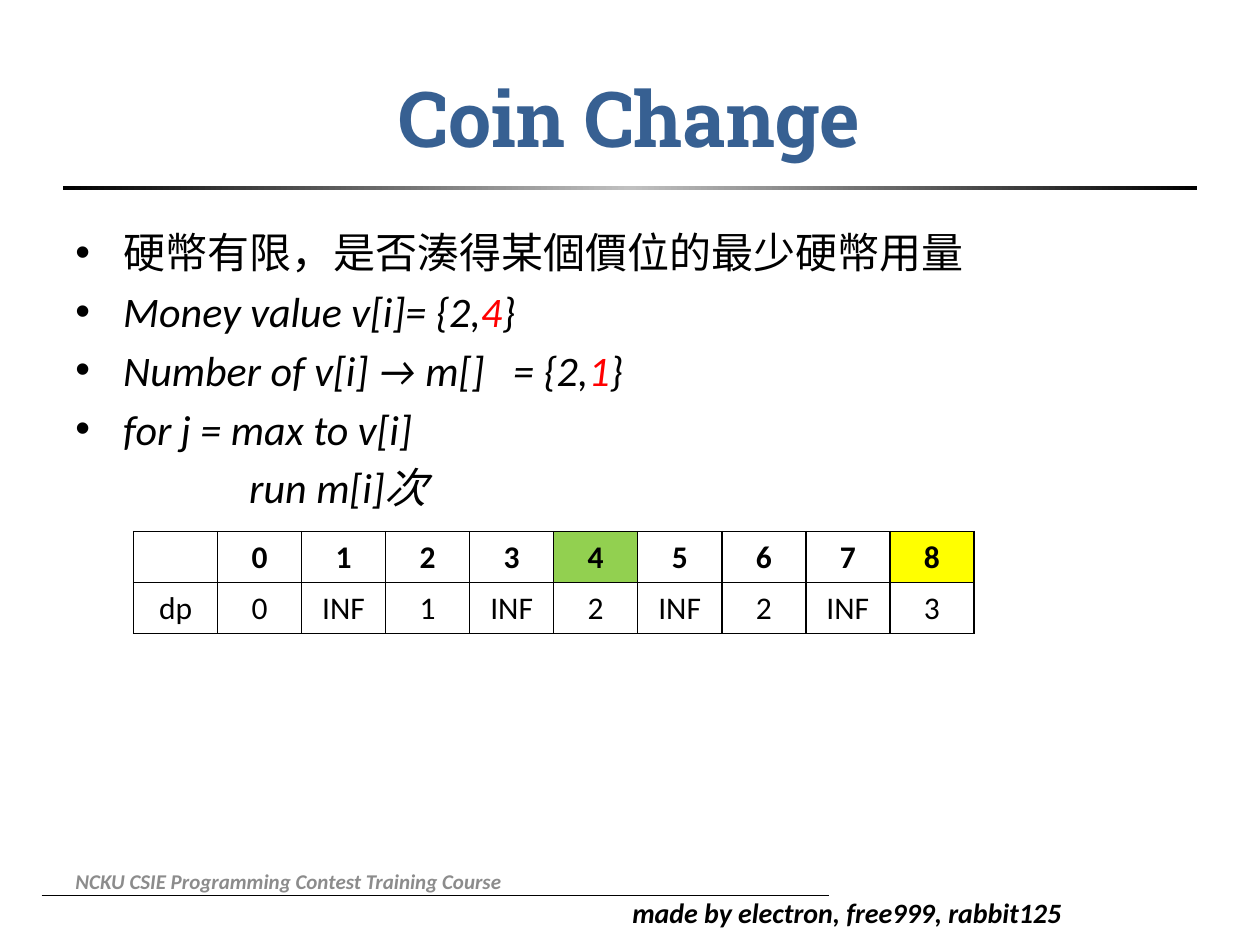
from lxml import etree
from pptx import Presentation
from pptx import util as u
from pptx.dml.color import RGBColor
from pptx.enum import shapes, text
from pptx.oxml.ns import qn

COLORS = {"ink": "000000", "title": "376092", "accent": "FF0000", "footer": "8C8C8C",
          "silver": "C0C0C0", "paper": "FFFFFF", "used": "92D050", "target": "FFFF00"}
BODY_FONT, TITLE_FONT = "Calibri", "Roboto Slab"


def color(name):
    return RGBColor.from_string(COLORS[name])


def style(font, size, name="ink", face=BODY_FONT, bold=False, italic=False):
    font.size, font.name, font.bold, font.italic = u.Pt(size), face, bold, italic
    font.color.rgb = color(name)


def add_box(page, left, top, width, height, anchor=text.MSO_ANCHOR.TOP):
    box = page.shapes.add_textbox(*map(u.Inches, (left, top, width, height)))
    box.text_frame.word_wrap = True
    box.text_frame.vertical_anchor = anchor
    return box


def add_label(page, place, words, size, name="ink", anchor=text.MSO_ANCHOR.TOP):
    box = add_box(page, *place, anchor)
    box.text_frame.text = words
    style(box.text_frame.paragraphs[0].runs[0].font, size, name, bold=True, italic=True)


def add_title(page, left, top, width, height):
    box = add_box(page, left, top, width, height, text.MSO_ANCHOR.MIDDLE)
    box.text_frame.text = "Coin Change"
    para = box.text_frame.paragraphs[0]
    para.alignment = text.PP_ALIGN.CENTER
    style(para.runs[0].font, 44, "title", TITLE_FONT, bold=True)


def add_title_rule(page, left, top, width, height):
    rule = page.shapes.add_shape(shapes.MSO_SHAPE.RECTANGLE,
                                 *map(u.Inches, (left, top, width, height)))
    rule.shadow.inherit = False
    rule.line.fill.background()
    rule.fill.gradient()
    rule.fill.gradient_angle = 0
    # Three stops: dark ends, silver middle
    stops = rule.fill._fill._gradFill.find(qn("a:gsLst"))
    for stop in list(stops):
        stops.remove(stop)
    for percent, name in ((0, "ink"), (50, "silver"), (100, "ink")):
        stop = etree.SubElement(stops, qn("a:gs"), pos=str(percent * 1000))
        etree.SubElement(stop, qn("a:srgbClr"), val=COLORS[name])


def add_body(page, left, top, width, height):
    # Each line: bulleted, italic, spans of (words, colour, letter spacing in points)
    lines = [
        (True, False, [("硬幣有限，是否湊得某個價位的最少硬幣用量", "ink", 0)]),
        (True, True, [("Money value v[i]= {2,", "ink", 0), ("4", "accent", 0), ("}", "ink", 0)]),
        (True, True, [("Number of v[i] → m[]", "ink", 0), (" ", "ink", 10.85),
                      ("= {2,", "ink", 0), ("1", "accent", 0), ("}", "ink", 0)]),
        (True, True, [("for j = max to v[i]", "ink", 0)]),
        (False, True, [("run m[i]次", "ink", 0)]),
    ]
    frame = add_box(page, left, top, width, height).text_frame
    for index, (bulleted, italic, spans) in enumerate(lines):
        para = frame.paragraphs[0] if index == 0 else frame.add_paragraph()
        props = para._p.get_or_add_pPr()
        props.set("marL", str(u.Inches(0.38 if bulleted else 1.38)))
        props.set("indent", str(u.Inches(-0.38 if bulleted else 0)))
        if bulleted:
            etree.SubElement(props, qn("a:buFont"), typeface="Arial")
            etree.SubElement(props, qn("a:buChar"), char="•")
        if index:
            para.space_before = u.Pt(4.8)
        for words, name, spacing in spans:
            span = para.add_run()
            span.text = words
            style(span.font, 24, name, italic=italic)
            if spacing:
                span._r.get_or_add_rPr().set("spc", str(round(spacing * 100)))


def add_borders(cell):
    props = cell._tc.get_or_add_tcPr()
    for index, side in enumerate(("lnL", "lnR", "lnT", "lnB")):
        line = etree.Element(qn("a:" + side), w=str(u.Pt(1)))
        fill = etree.SubElement(line, qn("a:solidFill"))
        etree.SubElement(fill, qn("a:srgbClr"), val=COLORS["ink"])
        props.insert(index, line)


def add_dp_table(page, left, top, width, height):
    rows = [["", *map(str, range(9))],
            ["dp", "0", "INF", "1", "INF", "2", "INF", "2", "INF", "3"]]
    marked = {(0, 5): "used", (0, 9): "target"}
    table = page.shapes.add_table(len(rows), len(rows[0]),
                                  *map(u.Inches, (left, top, width, height))).table
    for column in table.columns:
        column.width = u.Inches(width / len(rows[0]))
    for r, values in enumerate(rows):
        table.rows[r].height = u.Inches(height / len(rows))
        for c, value in enumerate(values):
            cell = table.cell(r, c)
            cell.text = value
            cell.fill.solid()
            cell.fill.fore_color.rgb = color(marked.get((r, c), "paper"))
            para = cell.text_frame.paragraphs[0]
            para.alignment = text.PP_ALIGN.CENTER
            style(para.font, 18, bold=r == 0)
            for span in para.runs:
                style(span.font, 18, bold=r == 0)
            add_borders(cell)


def add_footer(page, left, top, width):
    line = page.shapes.add_connector(
        shapes.MSO_CONNECTOR.STRAIGHT,
        *map(u.Inches, (left, top, left + width, top)))
    line.line.color.rgb = color("ink")
    line.line.width = u.Pt(0.5)
    etree.SubElement(line._element.spPr, qn("a:effectLst"))
    add_label(page, (left + 0.17, top - 0.32, 5.05, 0.4),
              "NCKU CSIE Programming Contest Training Course", 12, "footer",
              text.MSO_ANCHOR.MIDDLE)
    add_label(page, (left + 4.59, top - 0.05, 3.86, 0.37),
              "made by electron, free999, rabbit125", 16)


def main():
    deck = Presentation()
    deck.slide_width, deck.slide_height = u.Inches(10), u.Inches(7.5)
    page = deck.slides.add_slide(deck.slide_layouts[6])
    add_footer(page, 0.33, 7.11, 6.25)
    add_title_rule(page, 0.5, 1.48, 9, 0.03)
    add_title(page, 0.5, 0.3, 9, 1.25)
    add_body(page, 0.5, 1.75, 9, 4.95)
    add_dp_table(page, 1.06, 4.22, 6.67, 0.81)
    deck.save("out.pptx")


if __name__ == "__main__":
    main()
